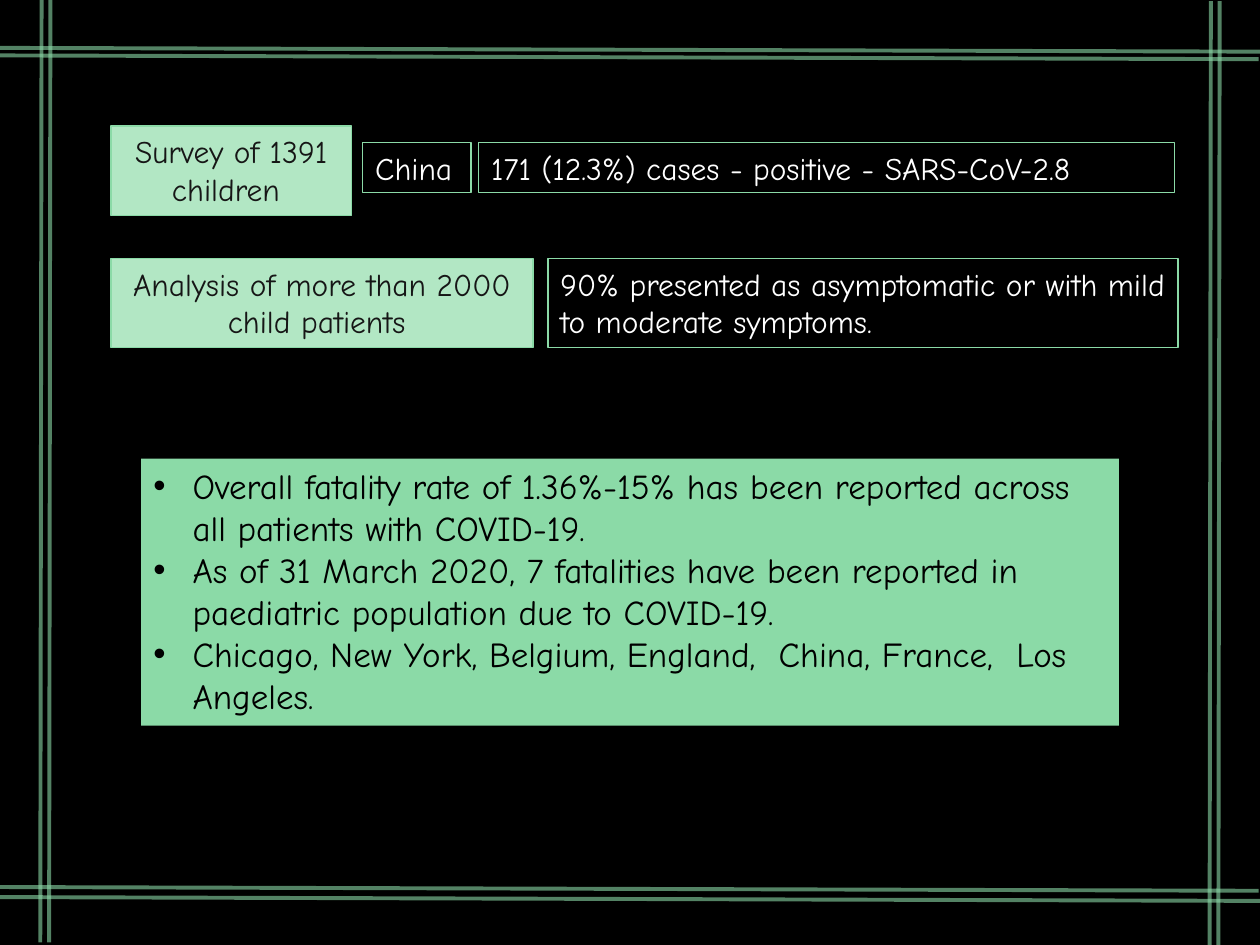
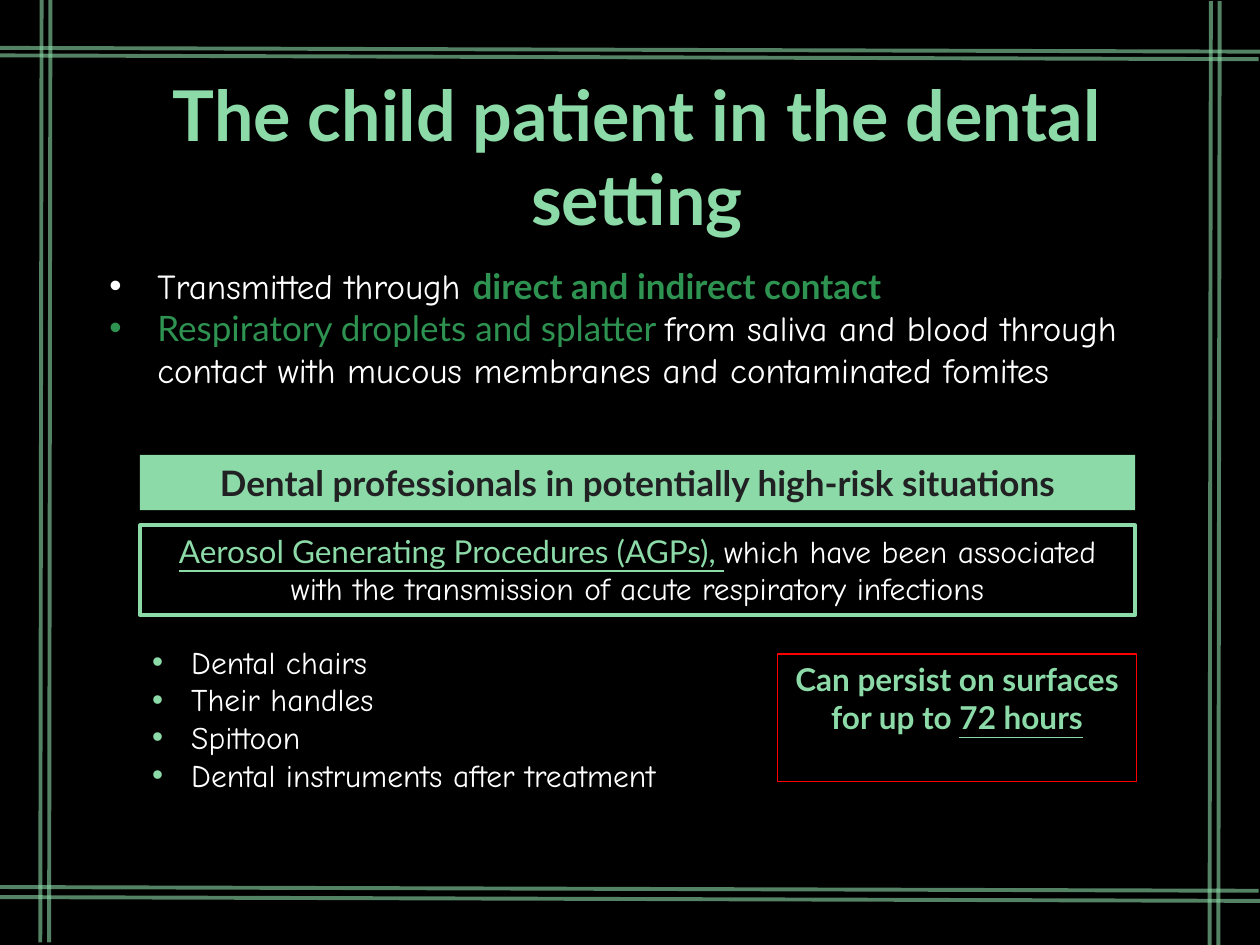
from dataclasses import dataclass, replace
from typing import NamedTuple

from lxml.etree import SubElement
from pptx import Presentation
from pptx.dml.color import RGBColor
from pptx.enum.shapes import MSO_CONNECTOR as Connector, MSO_SHAPE as Preset
from pptx.enum.text import MSO_ANCHOR as Anchor, PP_ALIGN as Align
from pptx.oxml.ns import qn
from pptx.util import Inches, Pt


@dataclass(frozen=True)
class Look:
    """Character format of a span of text."""
    font: str
    size: int
    color: str
    bold: bool = False
    underline: bool = False


@dataclass(frozen=True)
class Theme:
    """Colours, fonts and type sizes shared by the slides."""
    back: str = "000000"
    mint: str = "8BDAA7"
    pale: str = "B2E7C4"
    alert: str = "FF0000"
    hairline: float = 0.75
    rule: float = 2.25
    rule_alpha: int = 60
    title: Look = Look("Lato", 40, "8BDAA7", bold=True)
    body: Look = Look("Comic Neue", 18, "FFFFFF")
    label: Look = Look("Comic Neue", 18, "161616")
    large: Look = Look("Comic Neue", 20, "FFFFFF")
    panel: Look = Look("Comic Neue", 20, "000000")
    banner: Look = Look("Lato", 20, "212123", bold=True)
    accent: Look = Look("Lato", 18, "8BDAA7")
    strong: Look = Look("Lato", 20, "2E9251", bold=True)


class Box(NamedTuple):
    """Left, top, width and height in inches."""
    left: float
    top: float
    width: float
    height: float

    def inner(self, left, top, width, height):
        """Return a box placed relative to this one."""
        return Box(self.left + left, self.top + top, width, height)

    def lengths(self):
        """Return the four values as slide lengths."""
        return [Inches(value) for value in self]


THEME = Theme()
SLIDE = Box(0, 0, 10, 7.5)


def rgb(color):
    """Return a colour from its hexadecimal text."""
    return RGBColor.from_string(color)


def apply_look(font, look):
    """Format a paragraph or span font."""
    font.name, font.size = look.font, Pt(look.size)
    font.bold, font.underline = look.bold, look.underline
    font.color.rgb = rgb(look.color)


def add_bullet(para, color, indent):
    """Give a paragraph a hanging round bullet."""
    props = para._p.get_or_add_pPr()
    props.set("marL", str(Inches(indent)))
    props.set("indent", str(-Inches(indent)))
    SubElement(SubElement(props, qn("a:buClr")), qn("a:srgbClr"), val=color)
    SubElement(props, qn("a:buFont"), typeface="Arial")
    SubElement(props, qn("a:buChar"), char="•")


def write(shape, paragraphs, align=Align.LEFT, indent=0, bullet=None, wrap=True):
    """Fill a shape with paragraphs, each a list of (text, look) spans."""
    frame = shape.text_frame
    frame.word_wrap, frame.vertical_anchor = wrap, Anchor.TOP
    for index, spans in enumerate(paragraphs):
        para = frame.add_paragraph() if index else frame.paragraphs[0]
        para.alignment = align
        if indent:
            add_bullet(para, bullet or spans[0][1].color, indent)
        for text, look in spans:
            span = para.add_run()
            span.text = text
            apply_look(para.font if len(spans) == 1 else span.font, look)


def add_panel(page, box, paragraphs, fill=None, line=None, weight=THEME.hairline, **layout):
    """Draw a rectangle with text."""
    shape = page.shapes.add_shape(Preset.RECTANGLE, *box.lengths())
    shape.shadow.inherit = False
    if fill:
        shape.fill.solid()
        shape.fill.fore_color.rgb = rgb(fill)
    else:
        shape.fill.background()
    if line:
        shape.line.color.rgb = rgb(line)
        shape.line.width = Pt(weight)
    else:
        shape.line.fill.background()
    write(shape, paragraphs, **layout)


def add_list(page, box, paragraphs, **layout):
    """Place a bulleted text box."""
    write(page.shapes.add_textbox(*box.lengths()), paragraphs, **layout)


def add_rule(page, *ends):
    """Draw one translucent frame line."""
    rule = page.shapes.add_connector(Connector.STRAIGHT, *map(Inches, ends))
    rule.line.color.rgb = rgb(THEME.mint)
    rule.line.width = Pt(THEME.rule)
    properties = rule._element.spPr
    color = properties.find(".//" + qn("a:srgbClr"))
    SubElement(color, qn("a:alpha"), val=str(THEME.rule_alpha * 1000))
    SubElement(properties, qn("a:effectLst"))


def add_frame(page, box):
    """Draw the slightly tilted double lines along the four edges."""
    for x, y in ((0.33, -0.02), (0.4, -0.02), (9.61, 0.01), (9.68, 0.01)):
        left, top = box.left + x, box.top + y
        add_rule(page, left, top, left - 0.01, top + box.height)
    for x, y in ((0, 0.38), (-0.01, 0.44), (-0.01, 7.04), (0, 7.12)):
        left, top = box.left + x, box.top + y
        add_rule(page, left, top, left + box.width, top + 0.03)


def add_page(deck, layout):
    """Add a framed black slide."""
    page = deck.slides.add_slide(deck.slide_layouts.get_by_name(layout))
    page.background.fill.solid()
    page.background.fill.fore_color.rgb = rgb(THEME.back)
    add_frame(page, SLIDE)
    return page


def add_study(page, box, label, label_width, findings):
    """Place a study label and its outlined findings in one row."""
    add_panel(page, box.inner(0, 0, label_width, box.height), [[(label, THEME.label)]],
              fill=THEME.pale, line=THEME.mint, align=Align.CENTER)
    for text, left, top, width, height, wrap in findings:
        add_panel(page, box.inner(left, top, width, height), [[(text, THEME.body)]],
                  line=THEME.mint, wrap=wrap)


def add_fatalities(page, box):
    """Place the panel of reported fatalities."""
    facts = ("Overall fatality rate of 1.36%-15% has been reported across all patients with COVID-19.",
             "As of 31 March 2020, 7 fatalities have been reported in paediatric population due to COVID-19.",
             "Chicago, New York, Belgium, England,  China, France,  Los Angeles.")
    add_panel(page, box, [[(fact, THEME.panel)] for fact in facts], fill=THEME.mint, indent=0.31)


def add_title(page, box, text):
    """Move and format the title placeholder."""
    title = page.shapes.title
    title.left, title.top, title.width, title.height = box.lengths()
    write(title, [[(text, THEME.title)]], align=Align.CENTER)


def add_transmission(page, box):
    """Place the two routes of transmission."""
    routes = [
        [("Transmitted through ", THEME.large), ("direct and indirect contact", THEME.strong)],
        [("Respiratory droplets and splatter ", replace(THEME.strong, bold=False)),
         ("from saliva and blood through contact with mucous membranes and contaminated fomites",
          THEME.large)],
    ]
    add_list(page, box, routes, indent=0.38)


def add_risk(page, box):
    """Place the risk banner above the outlined procedures."""
    add_panel(page, box.inner(0, 0, box.width, 0.44),
              [[("Dental professionals in potentially high-risk situations", THEME.banner)]],
              fill=THEME.mint, align=Align.CENTER)
    procedures = [("Aerosol Generating Procedures (AGPs), ", replace(THEME.accent, underline=True)),
                  ("which have been associated with the transmission of acute respiratory infections",
                   THEME.body)]
    add_panel(page, box.inner(0, 0.56, box.width, 0.71), [procedures],
              line=THEME.mint, weight=THEME.rule, align=Align.CENTER)


def add_surfaces(page, box):
    """Place the list of surfaces and the persistence note."""
    surfaces = ("Dental chairs", "Their handles", "Spittoon", "Dental instruments after treatment")
    add_list(page, box.inner(0, 0, 5, box.height), [[(name, THEME.body)] for name in surfaces],
             indent=0.31, bullet=THEME.mint)
    note = replace(THEME.accent, bold=True)
    add_panel(page, box.inner(5.06, 0.14, 2.85, 1.01),
              [[("Can persist on surfaces for up to ", note),
                ("72 hours", replace(note, underline=True))]],
              line=THEME.alert, align=Align.CENTER)


def build_evidence(deck):
    """Build the slide of survey evidence."""
    page = add_page(deck, "Blank")
    add_study(page, Box(0.88, 1, 8.44, 0.71), "Survey of 1391 children ", 1.91,
              [("China", 2, 0.13, 0.86, 0.4, False),
               ("171 (12.3%) cases - positive - SARS-CoV-2.8", 2.92, 0.13, 5.52, 0.4, True)])
    add_study(page, Box(0.88, 2.05, 8.47, 0.71), "Analysis of more than 2000 child patients ", 3.35,
              [("90% presented as asymptomatic or with mild to moderate symptoms.",
                3.47, 0, 5, 0.71, True)])
    add_fatalities(page, Box(1.12, 3.64, 7.76, 2.12))


def build_dental_setting(deck):
    """Build the slide on the dental setting."""
    page = add_page(deck, "Title Only")
    add_title(page, Box(0.76, 0.52, 8.59, 0.97), "The child patient in the dental setting")
    add_transmission(page, Box(0.77, 2.05, 8.59, 1.45))
    add_risk(page, Box(1.11, 3.61, 7.9, 1.27))
    add_surfaces(page, Box(1.11, 5.05, 7.91, 1.31))


def main():
    """Build and save the deck."""
    deck = Presentation()
    deck.slide_width, deck.slide_height = Inches(SLIDE.width), Inches(SLIDE.height)
    build_evidence(deck)
    build_dental_setting(deck)
    deck.save("out.pptx")


if __name__ == "__main__":
    main()
